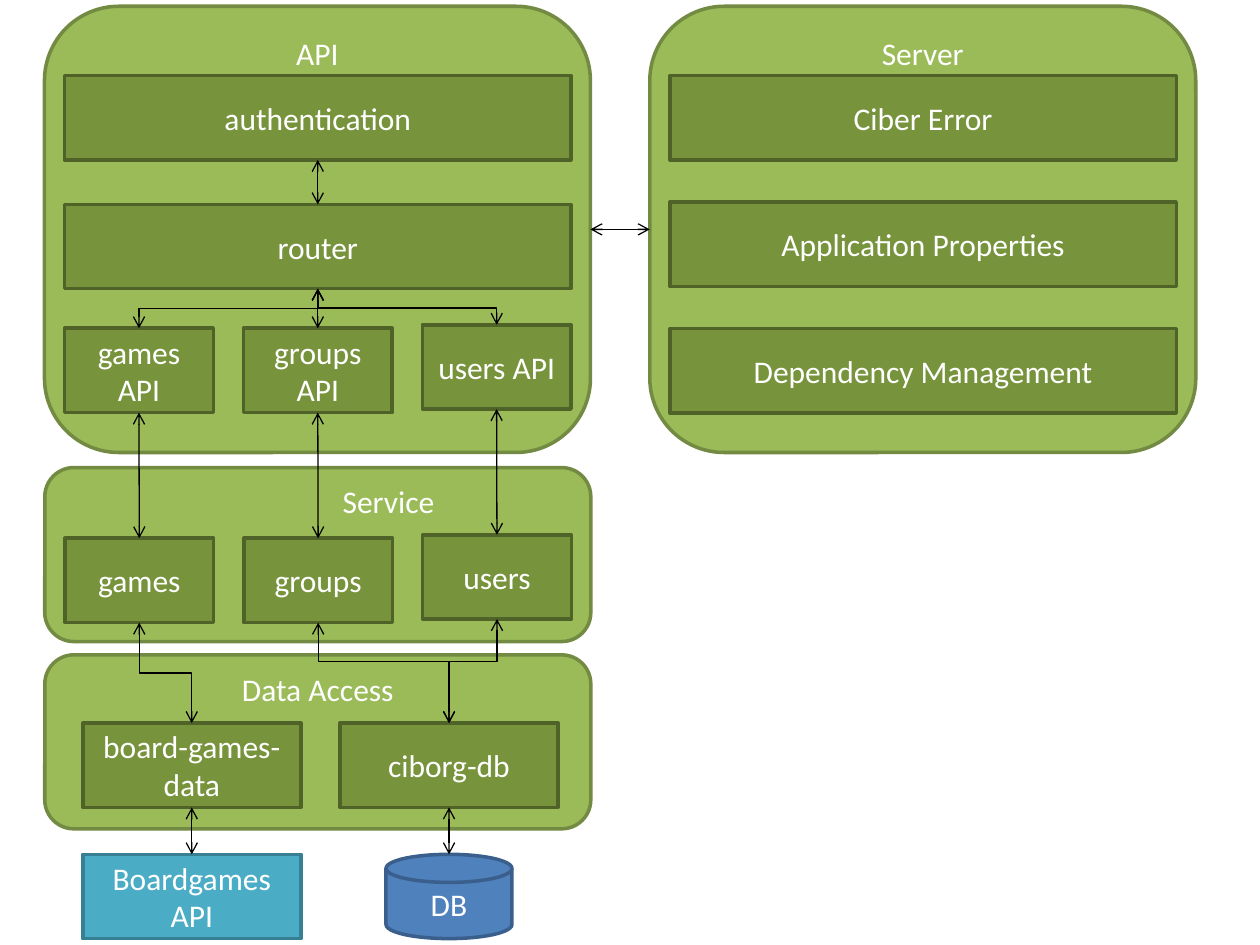
from dataclasses import dataclass

from lxml.etree import SubElement
from pptx import Presentation
from pptx.dml.color import RGBColor
from pptx.enum.shapes import MSO_CONNECTOR as LINK, MSO_SHAPE as SHAPE
from pptx.enum.text import MSO_ANCHOR as ANCHOR, PP_ALIGN as ALIGN
from pptx.oxml.ns import qn
from pptx.util import Pt


@dataclass(frozen=True)
class Theme:
    panel: tuple = ("9BBB59", "738A42")  # fill, outline
    module: tuple = ("77933C", "4F6228")
    service: tuple = ("4BACC6", "377F92")
    database: tuple = ("4F81BD", "3A5F8C")
    text: str = "FFFFFF"
    link: str = "000000"
    font: str = "Calibri"
    size: float = 18
    outline: float = 2
    link_width: float = 0.75


THEME = Theme()
TOP, LEFT, BOTTOM, RIGHT = range(4)  # connection sites
PANEL_WIDTH = 312
BOX_HEIGHT = 48.2
WIDE_BOX = 289.4
SMALL_BOX = 85
DATA_BOX = 124.6
INSET = 11.5
COLUMN_STEP = 102.2


def add_box(page, label, box, colors, kind=SHAPE.RECTANGLE, anchor=ANCHOR.MIDDLE):
    shape = page.shapes.add_shape(kind, *(Pt(value) for value in box))
    fill, outline = colors
    shape.shadow.inherit = False
    shape.fill.solid()
    shape.fill.fore_color.rgb = RGBColor.from_string(fill)
    shape.line.color.rgb = RGBColor.from_string(outline)
    shape.line.width = Pt(THEME.outline)
    frame = shape.text_frame
    frame.word_wrap = True
    frame.vertical_anchor = anchor
    frame.text = label
    para = frame.paragraphs[0]
    para.alignment = ALIGN.CENTER
    font = para.runs[0].font
    font.name, font.size = THEME.font, Pt(THEME.size)
    font.color.rgb = RGBColor.from_string(THEME.text)
    return shape


def add_panel(page, label, box):
    return add_box(page, label, box, THEME.panel, SHAPE.ROUNDED_RECTANGLE, ANCHOR.TOP)


def add_link(page, start, end, start_site=BOTTOM, end_site=TOP, bend=None):
    """Two-headed arrow; bend is the share of the height where an elbow turns."""
    kind = LINK.STRAIGHT if bend is None else LINK.ELBOW
    link = page.shapes.add_connector(kind, 0, 0, 0, 0)
    link.begin_connect(start, start_site)
    link.end_connect(end, end_site)
    if bend is not None:
        turn_elbow(link, bend)
    link.line.color.rgb = RGBColor.from_string(THEME.link)
    link.line.width = Pt(THEME.link_width)
    line = link.line._get_or_add_ln()
    for end_name in ("a:headEnd", "a:tailEnd"):
        SubElement(line, qn(end_name), type="arrow")
    SubElement(link._element.spPr, qn("a:effectLst"))
    return link


def turn_elbow(link, bend):
    """Make an elbow leave and arrive vertically."""
    across, down = link.end_x - link.begin_x, link.end_y - link.begin_y
    center_x, center_y = link.begin_x + across // 2, link.begin_y + down // 2
    properties = link._element.spPr
    frame = properties.find(qn("a:xfrm"))
    for flip in ("flipH", "flipV"):
        frame.attrib.pop(flip, None)
    link.width, link.height = down, abs(across)
    link.left, link.top = center_x - down // 2, center_y - abs(across) // 2
    frame.set("rot", "16200000" if across > 0 else "5400000")
    if across > 0:
        frame.set("flipH", "1")
    geometry = properties.find(qn("a:prstGeom"))
    values = geometry.find(qn("a:avLst"))
    if values is None:
        values = SubElement(geometry, qn("a:avLst"))
    SubElement(values, qn("a:gd"), name="adj1", fmla=f"val {round(bend * 100000)}")


def add_trio(page, labels, left, top):
    """Three small modules; the last one sits slightly higher."""
    return [
        add_box(page, label,
                (left + column * COLUMN_STEP, top - lift, SMALL_BOX, BOX_HEIGHT),
                THEME.module)
        for column, (label, lift) in enumerate(zip(labels, (0, 0, 2)))
    ]


def add_data_access(page, left, top, height):
    add_panel(page, "Data Access", (left, top, PANEL_WIDTH, height))
    return [
        add_box(page, label, (left + offset, top + 39, DATA_BOX, BOX_HEIGHT), THEME.module)
        for label, offset in (("board-games-data", 21.7), ("ciborg-db", 168.7))
    ]


def add_sources(page, left, top):
    """External sources below the data modules, each linked upwards."""
    games = add_box(page, "Boardgames API", (left, top, DATA_BOX, BOX_HEIGHT), THEME.service)
    database = add_box(page, "DB", (left + 173.3, top, 72, BOX_HEIGHT), THEME.database,
                       SHAPE.FLOWCHART_MAGNETIC_DISK)
    return games, database


def add_service(page, left, top, height):
    panel = add_panel(page, "Service", (left, top, PANEL_WIDTH, height))
    panel.text_frame.margin_left = Pt(88)
    return add_trio(page, ("games", "groups", "users"), left + INSET, top + 40.4)


def add_api(page, left, top, height):
    panel = add_panel(page, "API", (left, top, PANEL_WIDTH, height))
    authentication, router = [
        add_box(page, label, (left + INSET, top + offset, WIDE_BOX, BOX_HEIGHT), THEME.module)
        for label, offset in (("authentication", 39.6), ("router", 113.2))
    ]
    modules = add_trio(page, ("games API", "groups API", "users API"),
                       left + INSET, top + 184)
    add_link(page, authentication, router)
    for module, bend in zip(modules, (0.5, None, 0.53)):
        add_link(page, router, module, bend=bend)
    return panel, modules


def add_server(page, left, top, height):
    panel = add_panel(page, "Server", (left, top, PANEL_WIDTH, height))
    for row, label in enumerate(("Ciber Error", "Application Properties",
                                 "Dependency Management")):
        add_box(page, label,
                (left + INSET, top + 39.6 + row * 72.3, WIDE_BOX, BOX_HEIGHT), THEME.module)
    return panel


def main():
    deck = Presentation()
    deck.slide_width, deck.slide_height = Pt(720), Pt(540)
    page = deck.slides.add_slide(deck.slide_layouts[6])

    # Layers
    games_data, group_data = add_data_access(page, 25.6, 374.2, 99.4)
    games_source, database = add_sources(page, 47.3, 488.2)
    services = add_service(page, 25.6, 267.2, 99.4)
    api, modules = add_api(page, 25.4, 3.6, 255)
    server = add_server(page, 371.3, 3.6, 255)

    # Links between layers
    for module, service in zip(modules, services):
        add_link(page, module, service)
    for service, data, bend in zip(services, (games_data, group_data, group_data),
                                   (0.5, 0.39, 0.41)):
        add_link(page, service, data, bend=bend)
    add_link(page, games_data, games_source)
    disk_link = add_link(page, group_data, database)
    # On the disk, site 1 is the top edge
    disk_link._element.find(".//" + qn("a:endCxn")).set("idx", "1")
    add_link(page, server, api, LEFT, RIGHT)

    deck.save("out.pptx")


if __name__ == "__main__":
    main()
